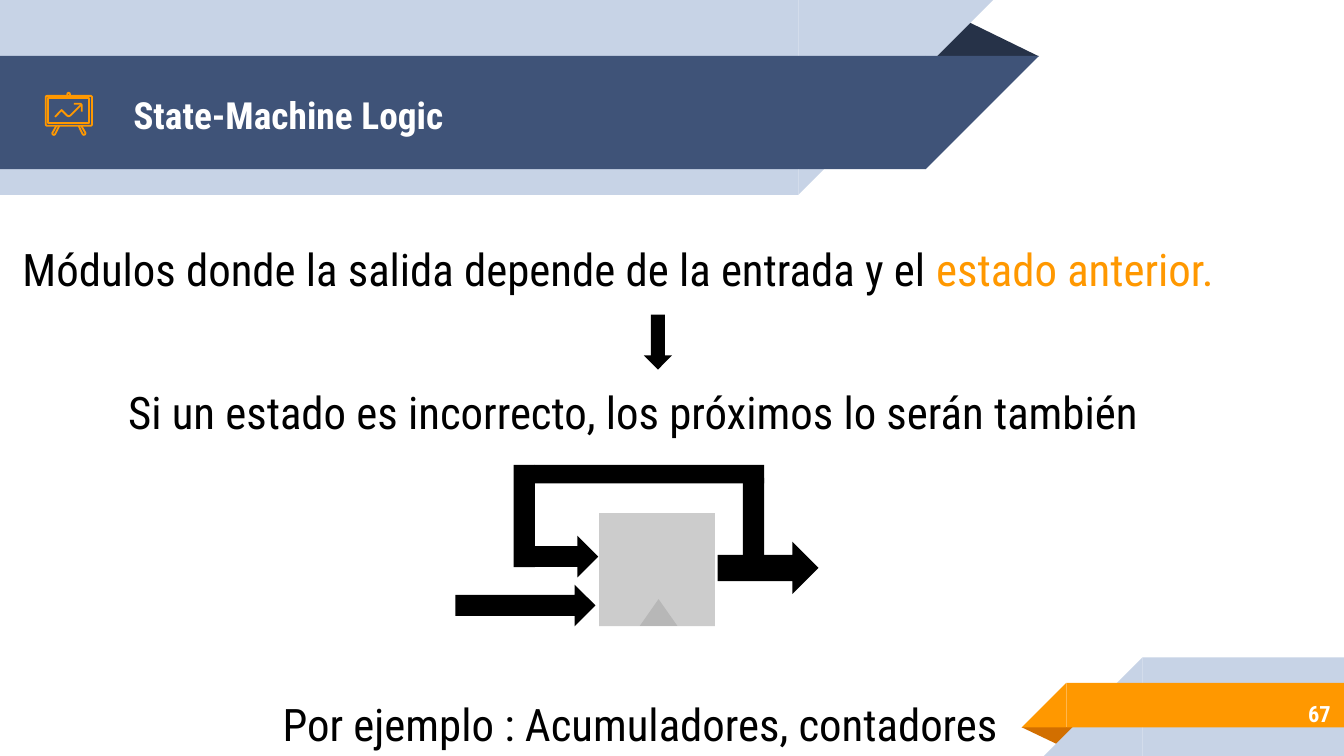
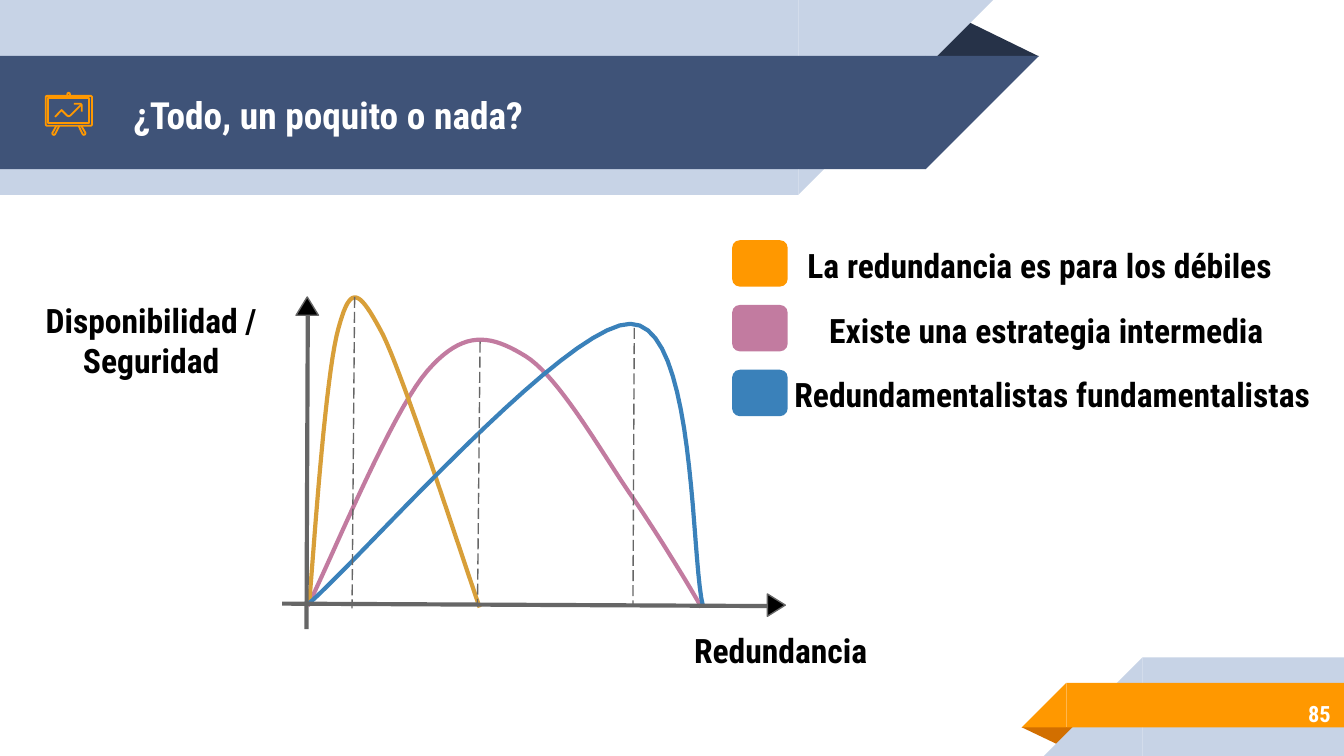
from lxml import etree
from pptx import Presentation
from pptx.dml.color import RGBColor
from pptx.enum.dml import MSO_LINE
from pptx.enum.shapes import MSO_CONNECTOR, MSO_SHAPE
from pptx.enum.text import MSO_ANCHOR, MSO_AUTO_SIZE, PP_ALIGN
from pptx.oxml.ns import qn
from pptx.util import Pt

FONT = "Roboto Condensed"
WHITE = RGBColor(0xFF, 0xFF, 0xFF)
BLACK = RGBColor(0, 0, 0)
NAVY = RGBColor(0x3F, 0x53, 0x78)
DARK_NAVY = RGBColor(0x26, 0x32, 0x48)
PALE_BLUE = RGBColor(0xC7, 0xD3, 0xE6)
ORANGE = RGBColor(0xFF, 0x98, 0x00)
DARK_ORANGE = RGBColor(0xD2, 0x6F, 0x00)
GREY = RGBColor(0x66, 0x66, 0x66)
BLOCK_GREY = RGBColor(0xCC, 0xCC, 0xCC)
CLOCK_GREY = RGBColor(0xB7, 0xB7, 0xB7)
GOLD = RGBColor(0xD8, 0x9F, 0x39)
PINK = RGBColor(0xC2, 0x7B, 0xA0)
BLUE = RGBColor(0x3A, 0x81, 0xBA)

RECT = MSO_SHAPE.RECTANGLE
ROUND_RECT = MSO_SHAPE.ROUNDED_RECTANGLE
TRIANGLE = MSO_SHAPE.ISOSCELES_TRIANGLE
CORNER = MSO_SHAPE.RIGHT_TRIANGLE
ARROW = MSO_SHAPE.RIGHT_ARROW
STRAIGHT = MSO_CONNECTOR.STRAIGHT
LONG_DASH = MSO_LINE.LONG_DASH
LEFT, CENTER, RIGHT = PP_ALIGN.LEFT, PP_ALIGN.CENTER, PP_ALIGN.RIGHT
TOP, MIDDLE = MSO_ANCHOR.TOP, MSO_ANCHOR.MIDDLE
NO_FIT = MSO_AUTO_SIZE.NONE


def draw_shape(page, kind, place, fill, rotation=0, flip=None, outline=None):
    shape = page.shapes.add_shape(kind, *[Pt(value) for value in place])
    shape.shadow.inherit = False
    shape.fill.solid()
    shape.fill.fore_color.rgb = fill
    shape.rotation = rotation
    if flip:
        shape.element.spPr.find(qn("a:xfrm")).set(flip, "1")
    if outline:
        shape.line.color.rgb = outline
        shape.line.width = Pt(0.75)
    else:
        shape.line.fill.background()
    return shape


def draw_path(shapes, points, colour, width, closed=False):
    corners = [(Pt(x), Pt(y)) for x, y in points]
    builder = shapes.build_freeform(*corners[0])
    builder.add_line_segments(corners[1:], close=closed)
    path = builder.convert_to_shape()
    path.shadow.inherit = False
    path.fill.background()
    path.line.color.rgb = colour
    path.line.width = Pt(width)


deck = Presentation()
deck.slide_width, deck.slide_height = Pt(720), Pt(405)
layout = deck.slide_layouts[5]
for holder in list(layout.placeholders)[1:]:
    holder.element.getparent().remove(holder.element)
logic_page = deck.slides.add_slide(layout)
balance_page = deck.slides.add_slide(layout)

# Header and footer ribbons, shared through the layout
ribbons = [
    (TRIANGLE, (495.4, 10, 61.2, 20.2), DARK_NAVY, 0, None),
    (RECT, (0, 0, 427.7, 104.4), PALE_BLUE, 0, None),
    (CORNER, (427.7, 0, 104.4, 104.4), PALE_BLUE, 0, "flipV"),
    (RECT, (0, 30, 496, 60.6), NAVY, 0, None),
    (CORNER, (496, 30, 60.6, 60.6), NAVY, 0, "flipV"),
    (TRIANGLE, (547.3, 389.6, 31, 10), DARK_ORANGE, 180, None),
    (RECT, (612, 352.2, 108, 52.8), PALE_BLUE, 0, None),
    (CORNER, (559.2, 352.2, 52.8, 52.8), PALE_BLUE, 0, "flipH"),
    (RECT, (571.2, 365.8, 148.8, 23.9), ORANGE, 0, None),
    (CORNER, (547.3, 365.8, 23.9, 23.9), ORANGE, 0, "flipH"),
]
for kind, place, fill, rotation, flip in ribbons:
    ribbon = draw_shape(logic_page, kind, place, fill, rotation, flip)
    if kind == TRIANGLE:
        ribbon.adjustments[0] = 0.324
    layout.shapes.element.append(ribbon.element)

# Easel icon beside each title
leg = [(30.2, 67.4), (28, 71.3), (28.2, 72), (29, 72.3), (29.5, 71.9), (31.7, 67.4)]
easel = [
    ([(25, 51.4), (48.8, 51.4), (49.3, 51.9), (49.3, 66.9), (48.8, 67.4),
      (25, 67.4), (24.5, 66.9), (24.5, 51.9)], True),
    ([(36, 51.1), (36.2, 50), (36.8, 49.6), (37.4, 50), (37.6, 51.1)], False),
    (leg, False),
    ([(73.8 - x, y) for x, y in leg], False),
    ([(25.9, 52.7), (47.8, 52.7), (47.8, 66), (25.9, 66)], True),
    ([(43.4, 56.2), (37.6, 62), (36.8, 62.3), (36, 62), (33, 59), (29.5, 62.6)], False),
    ([(39.6, 55.6), (43.2, 55.6), (43.8, 56.2), (43.8, 59.8)], False),
]
for page in (logic_page, balance_page):
    icon = page.shapes.add_group_shape()
    for points, closed in easel:
        draw_path(icon.shapes, points, ORANGE, 0.96, closed)

# State machine: block with clock mark, input, output and feedback loop
machine = [
    (ARROW, (337.7, 175.7, 29.5, 15.1), BLACK, 90),
    (RECT, (321, 275, 62, 60.5), BLOCK_GREY, 0),
    (ARROW, (244, 313.2, 75, 22.3), BLACK, 0),
    (ARROW, (384.5, 290.2, 54, 28.1), BLACK, 0),
    (RECT, (398, 256, 11.4, 42.5), BLACK, 0),
    (RECT, (286.5, 249, 122.9, 10), BLACK, 0),
    (ARROW, (286.5, 287, 34, 22.3), BLACK, 0),
    (RECT, (275.2, 249, 11.4, 54.8), BLACK, 0),
    (TRIANGLE, (342.7, 321, 20.2, 14.4), CLOCK_GREY, 0),
]
for kind, place, fill, rotation in machine:
    draw_shape(logic_page, kind, place, fill, rotation)

# Strategy curves, sampled from cubic Bezier segments
STEPS = 20
curves = [
    (PINK, [(164.9, 324.7), (175.7, 303.8), (209.5, 221), (229, 198.7),
            (248.4, 176.4), (262.8, 179.3), (281.5, 190.8), (300.2, 202.3),
            (324, 245.5), (339.8, 267.8), (355, 290.2), (370.1, 315.4), (375.8, 325.4)]),
    (GOLD, [(165.6, 324), (167.8, 299.5), (174.2, 200.2), (181.4, 175.7),
            (187.9, 151.9), (192.2, 154.8), (205.2, 179.3), (217.4, 204.5),
            (248.4, 301), (257, 325.4)]),
    (BLUE, [(165.6, 323.3), (194.4, 298), (303.1, 173.5), (337.7, 173.5),
            (373, 173.5), (370.1, 299.5), (376.6, 324.7)]),
]
for colour, knots in curves:
    points = [knots[0]]
    for start in range(0, len(knots) - 1, 3):
        a, b, c, d = knots[start:start + 4]
        for step in range(1, STEPS + 1):
            t = step / STEPS
            u = 1 - t
            points.append(tuple(
                u**3 * a[i] + 3 * u * u * t * b[i] + 3 * u * t * t * c[i] + t**3 * d[i]
                for i in (0, 1)))
    draw_path(balance_page.shapes, points, colour, 2.25)

# Axes and dashed lines under the peaks
rules = [
    ((151.2, 323.4, 411, 324.7), 2.25, None),
    ((164.2, 337, 164.9, 168.5), 2.25, None),
    ((190, 159, 188.6, 326), 0.75, LONG_DASH),
    ((257.2, 183, 255.8, 325), 0.75, LONG_DASH),
    ((339.8, 175.7, 339.1, 325), 0.75, LONG_DASH),
]
for ends, width, dash in rules:
    rule = balance_page.shapes.add_connector(STRAIGHT, *[Pt(value) for value in ends])
    etree.SubElement(rule.element.spPr, qn("a:effectLst"))
    rule.line.color.rgb = GREY
    rule.line.width = Pt(width)
    if dash:
        rule.line.dash_style = dash
draw_shape(balance_page, TRIANGLE, (158.6, 159.1, 12, 9.8), BLACK, outline=GREY)
draw_shape(balance_page, TRIANGLE, (409.9, 319.4, 12, 9.6), BLACK, 90, outline=GREY)

# Legend swatches
for row, colour in enumerate((ORANGE, PINK, BLUE)):
    draw_shape(balance_page, ROUND_RECT, (392.2, 128.7 + 34.7 * row, 29.8, 24.9), colour)

# Text: titles, page numbers, statements, axis names and legend
TITLE = {"size": Pt(20), "bold": True, "align": LEFT, "anchor": MIDDLE}
NUMBER = {"size": Pt(12), "bold": True, "align": RIGHT, "anchor": MIDDLE}
STATEMENT = {"size": Pt(24), "bold": False, "align": LEFT, "anchor": TOP}
LABEL = {"size": Pt(18), "bold": True, "align": CENTER, "anchor": TOP}
TITLE_PLACE = (64.2, 31, 414, 60.5)
NUMBER_PLACE = (602.6, 369.4, 117.4, 25.2)
texts = [
    (logic_page, TITLE, TITLE_PLACE, [("State-Machine Logic", WHITE)]),
    (logic_page, NUMBER, NUMBER_PLACE, [("67", WHITE)]),
    (logic_page, STATEMENT, (5, 122.4, 695.5, 32.4),
     [("Módulos donde la salida depende de la entrada y el ", BLACK),
      ("estado anterior.", ORANGE)]),
    (logic_page, STATEMENT, (61.5, 199, 582.5, 32.4),
     [("Si un estado es incorrecto, los próximos lo serán también", BLACK)]),
    (logic_page, STATEMENT, (144.3, 366, 408, 32.4),
     [("Por ejemplo : Acumuladores, contadores", BLACK)]),
    (balance_page, TITLE, TITLE_PLACE, [("¿Todo, un poquito o nada?", WHITE)]),
    (balance_page, NUMBER, NUMBER_PLACE, [("85", WHITE)]),
    (balance_page, LABEL, (3.6, 153.4, 154.8, 60.5),
     [("Disponibilidad / Seguridad", BLACK)]),
    (balance_page, LABEL, (352, 330.5, 132.5, 33.8), [("Redundancia", BLACK)]),
    (balance_page, LABEL, (422, 124.2, 270, 33.8),
     [("La redundancia es para los débiles", BLACK)]),
    (balance_page, LABEL, (425.5, 159, 270, 33.8),
     [("Existe una estrategia intermedia", BLACK)]),
    (balance_page, LABEL, (414, 193.2, 299.5, 33.8),
     [("Redundamentalistas fundamentalistas", BLACK)]),
]
for page, style, place, spans in texts:
    left, top, width, height = [Pt(value) for value in place]
    if style is TITLE:
        box = page.shapes.title
        box.left, box.top, box.width, box.height = left, top, width, height
    else:
        box = page.shapes.add_textbox(left, top, width, height)
    frame = box.text_frame
    settings = {"word_wrap": True, "auto_size": NO_FIT, "vertical_anchor": style["anchor"]}
    for side in ("left", "top", "right", "bottom"):
        settings["margin_" + side] = Pt(7.2)
    for name, value in settings.items():
        setattr(frame, name, value)
    para = frame.paragraphs[0]
    para.alignment = style["align"]
    for words, colour in spans:
        span = para.add_run()
        span.text = words
        span.font.color.rgb = colour
        for name, value in {"name": FONT, "size": style["size"], "bold": style["bold"]}.items():
            setattr(span.font, name, value)

deck.save("out.pptx")
